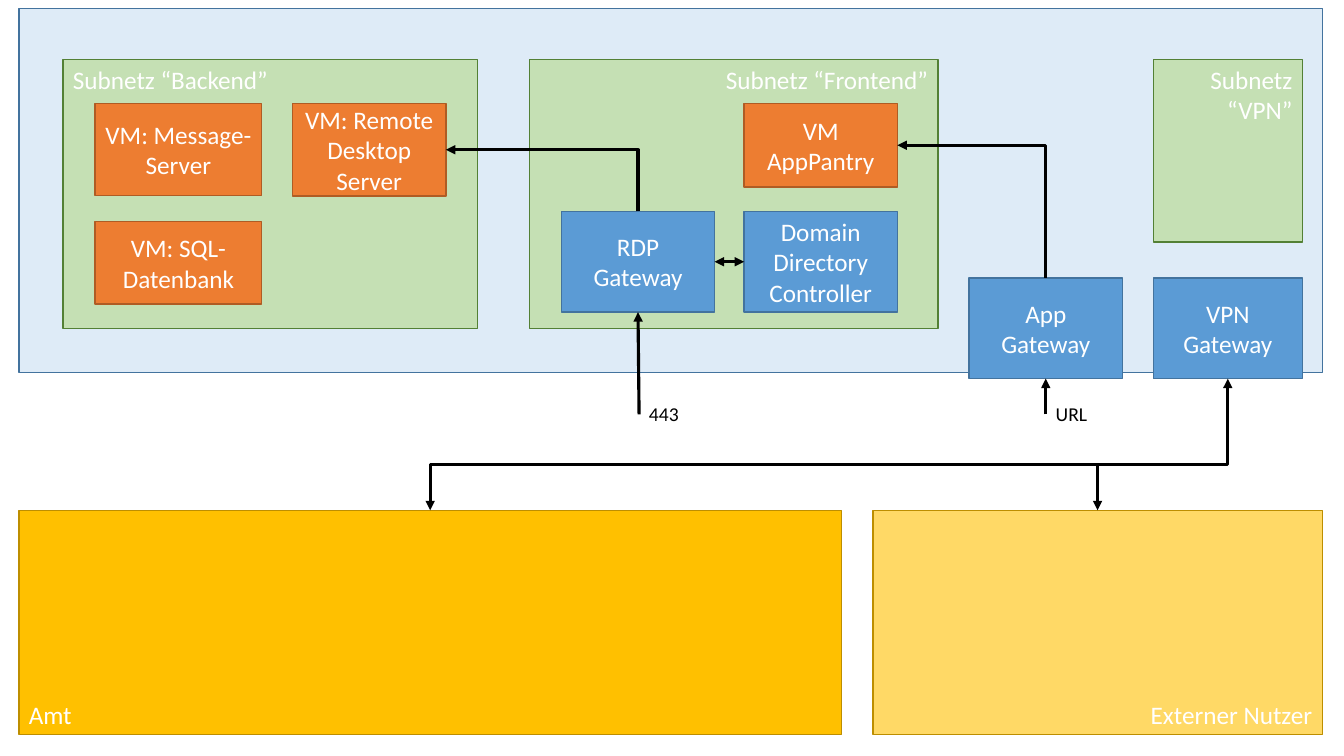
import pptx
import pptx.dml.color
import pptx.enum.shapes
import pptx.enum.text
import pptx.oxml.ns
import pptx.util
from lxml import etree

Pt = pptx.util.Pt
RGBColor = pptx.dml.color.RGBColor
ALIGN = pptx.enum.text.PP_ALIGN
ANCHOR = pptx.enum.text.MSO_ANCHOR
CONNECTOR = pptx.enum.shapes.MSO_CONNECTOR
qn = pptx.oxml.ns.qn

WHITE = RGBColor(0xFF, 0xFF, 0xFF)
BLACK = RGBColor(0x00, 0x00, 0x00)
PALE_BLUE = RGBColor(0xDE, 0xEB, 0xF7)
BLUE = RGBColor(0x5B, 0x9B, 0xD5)
BLUE_EDGE = RGBColor(0x43, 0x73, 0x9E)
GREEN = RGBColor(0xC5, 0xE0, 0xB4)
GREEN_EDGE = RGBColor(0x53, 0x80, 0x35)
ORANGE = RGBColor(0xED, 0x7D, 0x31)
ORANGE_EDGE = RGBColor(0xAF, 0x5C, 0x24)
GOLD = RGBColor(0xFF, 0xC0, 0x00)
PALE_GOLD = RGBColor(0xFF, 0xD9, 0x66)
GOLD_EDGE = RGBColor(0xBD, 0x8E, 0x00)

FONT = "Calibri"
TOP, LEFT, BOTTOM, RIGHT = range(4)
SUBNET_TOP, VM_TOP, INNER_TOP, GATEWAY_TOP = 42.5, 74, 151, 198.5
BOX_WIDTH, GATEWAY_HEIGHT = 109.5, 72


def write(frame, text, size, colour, align):
    frame.text = text
    for paragraph in frame.paragraphs:
        paragraph.alignment = align
        for run in paragraph.runs:
            run.font.name = FONT
            run.font.size = Pt(size)
            run.font.color.rgb = colour


def add_panel(slide, bounds, fill, edge):
    panel = slide.shapes.add_shape(
        pptx.enum.shapes.MSO_SHAPE.RECTANGLE, *[Pt(length) for length in bounds])
    panel.shadow.inherit = False
    panel.fill.solid()
    panel.fill.fore_color.rgb = fill
    panel.line.color.rgb = edge
    panel.line.width = Pt(1)
    return panel


def add_box(slide, text, bounds, fill, edge, align=ALIGN.CENTER, anchor=ANCHOR.MIDDLE):
    box = add_panel(slide, bounds, fill, edge)
    box.text_frame.word_wrap = True
    box.text_frame.vertical_anchor = anchor
    write(box.text_frame, text, 18, WHITE, align)
    return box


def add_subnet(slide, text, left, width, height, align):
    add_box(slide, text, (left, SUBNET_TOP, width, height), GREEN, GREEN_EDGE, align, ANCHOR.TOP)


def add_vm(slide, text, left, top, width, height):
    return add_box(slide, text, (left, top, width, height), ORANGE, ORANGE_EDGE)


def add_service(slide, text, left, top, width=BOX_WIDTH):
    return add_box(slide, text, (left, top, width, GATEWAY_HEIGHT), BLUE, BLUE_EDGE)


def add_label(slide, text, left, width):
    label = slide.shapes.add_textbox(Pt(left), Pt(283.75), Pt(width), Pt(24.25))
    label.text_frame.word_wrap = False
    label.text_frame.auto_size = pptx.enum.text.MSO_AUTO_SIZE.SHAPE_TO_FIT_TEXT
    write(label.text_frame, text, 14, BLACK, ALIGN.LEFT)


def add_arrow(slide, target, side, source=None, source_side=None, start=(0, 0),
              kind=CONNECTOR.STRAIGHT, both=False):
    """Arrow to a side of target, from a side of source or from a start point."""
    arrow = slide.shapes.add_connector(kind, Pt(start[0]), Pt(start[1]), 0, 0)
    if source is not None:
        arrow.begin_connect(source, source_side)
    arrow.end_connect(target, side)
    arrow.line.color.rgb = BLACK
    arrow.line.width = Pt(2.25)
    line = arrow.line._get_or_add_ln()
    for tag in ("a:headEnd", "a:tailEnd") if both else ("a:tailEnd",):
        etree.SubElement(line, qn(tag), type="triangle")
    etree.SubElement(arrow._element.spPr, qn("a:effectLst"))
    return arrow


def turn_elbow(arrow, preset, bend=None):
    """Make an elbow that runs to the left leave its source vertically."""
    start_x, start_y, end_x, end_y = arrow.begin_x, arrow.begin_y, arrow.end_x, arrow.end_y
    across, along = abs(end_x - start_x), abs(end_y - start_y)
    arrow.left = (start_x + end_x - along) // 2
    arrow.top = (start_y + end_y - across) // 2
    arrow.width, arrow.height = along, across
    frame = arrow._element.spPr.find(qn("a:xfrm"))
    upwards = end_y < start_y
    frame.set("rot", str((270 if upwards else 90) * 60000))
    frame.set("flipH", "0")
    frame.set("flipV", "1" if upwards else "0")
    geometry = arrow._element.spPr.find(qn("a:prstGeom"))
    geometry.set("prst", preset)
    if bend is not None:
        adjustments = geometry.find(qn("a:avLst"))
        if adjustments is None:
            adjustments = etree.SubElement(geometry, qn("a:avLst"))
        etree.SubElement(adjustments, qn("a:gd"), name="adj1", fmla=f"val {round(bend * 100000)}")


def main():
    presentation = pptx.Presentation()
    presentation.slide_width, presentation.slide_height = Pt(960), Pt(540)
    slide = presentation.slides.add_slide(presentation.slide_layouts[6])

    office = add_box(slide, "Amt", (13.5, 364.5, 587.5, 160), GOLD, GOLD_EDGE,
                     ALIGN.LEFT, ANCHOR.BOTTOM)
    add_panel(slide, (13.5, 6, 931, 260), PALE_BLUE, BLUE_EDGE)
    external = add_box(slide, "Externer Nutzer", (623.5, 364.5, 321, 160), PALE_GOLD, GOLD_EDGE,
                       ALIGN.RIGHT, ANCHOR.BOTTOM)

    add_subnet(slide, "Subnetz “Backend”", 45, 296, 192, ALIGN.LEFT)
    add_subnet(slide, "Subnetz “Frontend”", 378, 292, 192, ALIGN.RIGHT)
    add_subnet(slide, "Subnetz “VPN”", 823.75, 106.5, 130.5, ALIGN.RIGHT)

    add_vm(slide, "VM: SQL-Datenbank", 68, 158.25, 119, 59)
    add_vm(slide, "VM: Message-Server", 68, VM_TOP, 119, 65.5)
    remote_desktop = add_vm(slide, "VM: Remote Desktop Server", 209, VM_TOP, BOX_WIDTH, 66)
    app_vm = add_vm(slide, "VM AppPantry", 531.5, VM_TOP, BOX_WIDTH, 59.5)

    rdp_gateway = add_service(slide, "RDP Gateway", 401, INNER_TOP)
    directory = add_service(slide, "Domain Directory Controller", 531.5, INNER_TOP)
    app_gateway = add_service(slide, "App Gateway", 692.25, GATEWAY_TOP)
    vpn_gateway = add_service(slide, "VPN\nGateway", 823.75, GATEWAY_TOP, 106.5)

    add_arrow(slide, rdp_gateway, BOTTOM, start=(456.5, 296))
    add_label(slide, "443", 456.5, 36)
    add_arrow(slide, app_gateway, BOTTOM, start=(747, 296))
    add_label(slide, "URL", 747, 38)
    add_arrow(slide, rdp_gateway, RIGHT, directory, LEFT, both=True)
    add_arrow(slide, external, TOP, start=(784, 331))

    for gateway, vm in ((app_gateway, app_vm), (rdp_gateway, remote_desktop)):
        turn_elbow(add_arrow(slide, vm, RIGHT, gateway, TOP, kind=CONNECTOR.ELBOW),
                   "bentConnector2")
    turn_elbow(add_arrow(slide, office, TOP, vpn_gateway, BOTTOM, kind=CONNECTOR.ELBOW, both=True),
               "bentConnector3", 0.65)

    presentation.save("out.pptx")


if __name__ == "__main__":
    main()
